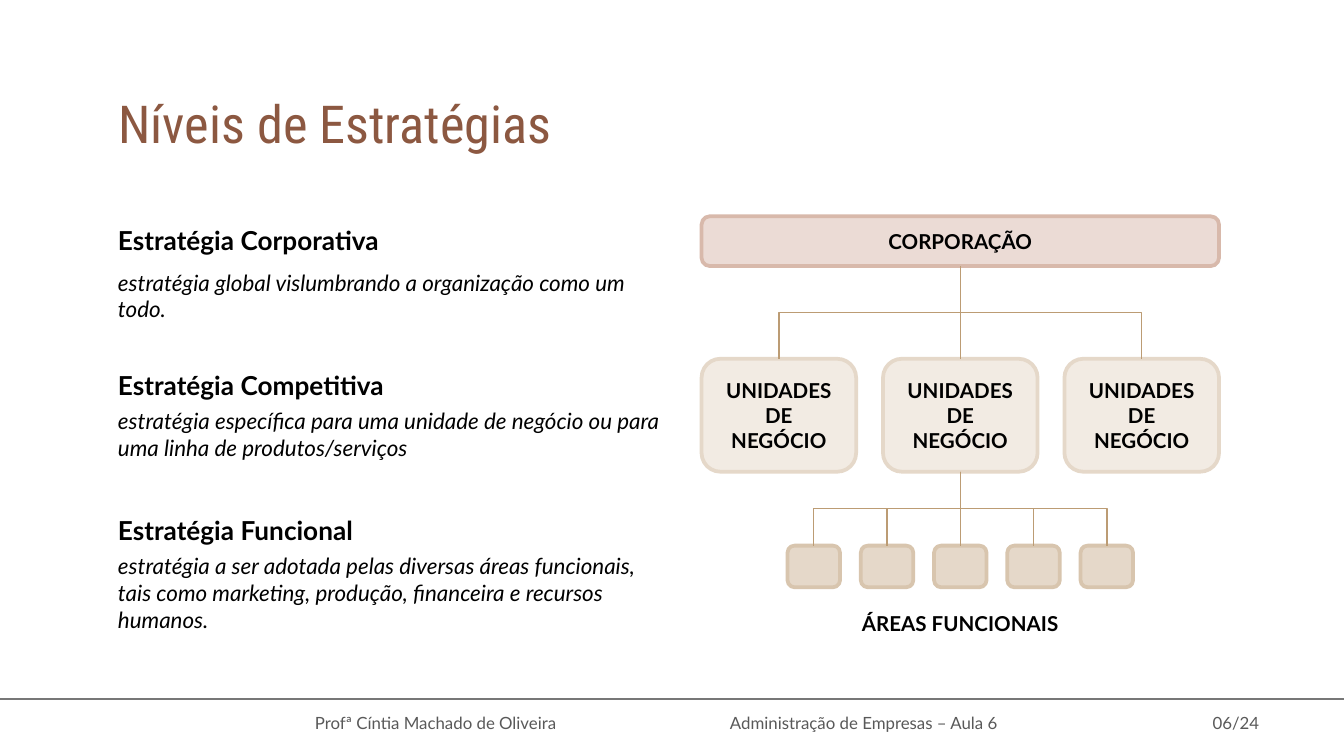
import pptx
import pptx.util
import pptx.dml.color
import pptx.enum.shapes
import pptx.enum.text
import pptx.oxml.ns

Inches, Pt = pptx.util.Inches, pptx.util.Pt
RGBColor = pptx.dml.color.RGBColor
SHAPE = pptx.enum.shapes.MSO_SHAPE
CONN = pptx.enum.shapes.MSO_CONNECTOR
ANCHOR = pptx.enum.text.MSO_ANCHOR
ALIGN = pptx.enum.text.PP_ALIGN
qn = pptx.oxml.ns.qn

W = 10
H = W * 9 / 16
BLACK = RGBColor(0x00, 0x00, 0x00)
GREY = RGBColor(0x59, 0x59, 0x59)
RULE = RGBColor(0x77, 0x77, 0x77)
BROWN = RGBColor(0x8C, 0x58, 0x41)
BRANCH = RGBColor(0xBC, 0x9C, 0x74)
ROSE, ROSE_EDGE = RGBColor(0xEB, 0xDB, 0xD5), RGBColor(0xD8, 0xB9, 0xAB)
CREAM, SAND = RGBColor(0xF2, 0xEB, 0xE3), RGBColor(0xE5, 0xD8, 0xC9)
SAND_EDGE = RGBColor(0xD8, 0xC5, 0xAE)

TITLE = dict(name="Roboto Condensed", size=Pt(28), bold=False)
HEADING = dict(name="Lato", size=Pt(14), bold=True)
DETAIL = dict(name="Lato", size=Pt(12), italic=True)
LABEL = dict(name="Lato", size=Pt(11), bold=True)
FOOTER = dict(name="Lato", size=Pt(9))

# Left column: heading, detail, then top and height of the detail
LEFT, ROW_TOP, ROW_STEP = 0.78, 1.62, 1.08
LEVELS = [
    ("Estratégia Corporativa",
     "estratégia global vislumbrando a organização como um todo.", 1.95, 0.5),
    ("Estratégia Competitiva",
     "estratégia específica para uma unidade de negócio ou para uma linha "
     "de produtos/serviços", 2.98, 0.5),
    ("Estratégia Funcional",
     "estratégia a ser adotada pelas diversas áreas funcionais, tais como "
     "marketing, produção, financeira e recursos humanos.", 4.06, 0.71),
]
FOOTERS = [
    ("Profª Cíntia Machado de Oliveira", 2.07, 2.34),
    ("Administração de Empresas – Aula 6", 5.22, 2.41),
    ("06/24", 8.7, 0.99),
]

# Chart rows; columns are spread evenly around AXIS
CORP_LEFT, CORP_TOP, CORP_W, CORP_H = 5.22, 1.61, 3.85, 0.37
UNIT_TOP, UNIT_W, UNIT_H = 2.67, 1.15, 0.84
AREA_TOP, AREA_W, AREA_H = 4.06, 0.39, 0.31
AXIS = CORP_LEFT + CORP_W / 2
UNIT_SPAN, AREA_SPAN = CORP_W - UNIT_W, 2.18


def box(left, top, width, height):
    return [Inches(v) for v in (left, top, width, height)]


def write(sp, text, font, color=BLACK, align=ALIGN.LEFT, anchor=ANCHOR.TOP):
    tf = sp.text_frame
    frame = dict(word_wrap=True, vertical_anchor=anchor,
                 margin_left=Inches(0.1), margin_right=Inches(0.1),
                 margin_top=Inches(0.05), margin_bottom=Inches(0.05))
    for key, value in frame.items():
        setattr(tf, key, value)
    p = tf.paragraphs[0]
    p.alignment = align
    r = p.add_run()
    r.text = text
    for key, value in font.items():
        setattr(r.font, key, value)
    r.font.color.rgb = color


def add_text(s, place, text, font, **options):
    write(s.shapes.add_textbox(*box(*place)), text, font, **options)


def add_node(s, center, top, width, height, fill, edge, text=""):
    place = box(center - width / 2, top, width, height)
    sp = s.shapes.add_shape(SHAPE.ROUNDED_RECTANGLE, *place)
    sp.shadow.inherit = False
    sp.fill.solid()
    sp.fill.fore_color.rgb = fill
    sp.line.color.rgb = edge
    sp.line.width = Pt(2)
    if text:
        write(sp, text, LABEL, align=ALIGN.CENTER, anchor=ANCHOR.MIDDLE)


def add_line(s, kind, x1, y1, x2, y2, color, width):
    c = s.shapes.add_connector(kind, *box(x1, y1, x2, y2))
    c.line.color.rgb = color
    c.line.width = Pt(width)
    spPr = c._element.spPr
    spPr.append(spPr.makeelement(qn("a:effectLst"), {}))
    return c


def add_branch(s, x, top, bottom):
    """Join the axis to a node at x, leaving and arriving vertically."""
    if x == AXIS:
        add_line(s, CONN.STRAIGHT, x, top, x, bottom, BRANCH, 0.75)
        return
    # The elbow is laid on its side around its centre, then turned
    cx, cy = (AXIS + x) / 2, (top + bottom) / 2
    half_w, half_h = (bottom - top) / 2, abs(x - AXIS) / 2
    turn, side = (90, -1) if x < AXIS else (270, 1)
    c = add_line(s, CONN.ELBOW, cx + side * half_w, cy - half_h,
                 cx - side * half_w, cy + half_h, BRANCH, 0.75)
    c._element.spPr.find(qn("a:xfrm")).set("rot", str(turn * 60000))


def columns(count, span):
    step = span / (count - 1)
    return [AXIS + (i - count // 2) * step for i in range(count)]


def add_levels(s):
    for i, (heading, detail, top, height) in enumerate(LEVELS):
        add_text(s, (LEFT, ROW_TOP + i * ROW_STEP, 2.3, 0.34), heading, HEADING)
        add_text(s, (LEFT, top, 4.24, height), detail, DETAIL)


def add_org_chart(s):
    units, areas = columns(3, UNIT_SPAN), columns(5, AREA_SPAN)
    # Nodes
    add_node(s, AXIS, CORP_TOP, CORP_W, CORP_H, ROSE, ROSE_EDGE, "CORPORAÇÃO")
    for x in units:
        add_node(s, x, UNIT_TOP, UNIT_W, UNIT_H, CREAM, SAND,
                 "UNIDADES DE NEGÓCIO")
    for x in areas:
        add_node(s, x, AREA_TOP, AREA_W, AREA_H, SAND, SAND_EDGE)
    add_text(s, (AXIS - 1.12, 4.5, 2.24, 0.29), "ÁREAS FUNCIONAIS", LABEL,
             align=ALIGN.CENTER)
    # Branches
    for x in units:
        add_branch(s, x, CORP_TOP + CORP_H, UNIT_TOP)
    for x in areas:
        add_branch(s, x, UNIT_TOP + UNIT_H, AREA_TOP)


def add_footer(s):
    add_line(s, CONN.STRAIGHT, 0, 5.2, W + 0.02, 5.2, RULE, 1)
    for text, left, width in FOOTERS:
        add_text(s, (left, 5.21, width, 0.33), text, FOOTER, color=GREY,
                 align=ALIGN.CENTER, anchor=ANCHOR.MIDDLE)


def main():
    prs = pptx.Presentation()
    prs.slide_width, prs.slide_height = Inches(W), Inches(H)
    s = prs.slides.add_slide(prs.slide_layouts[5])

    # Title
    title = s.shapes.title
    title.left, title.top, title.width, title.height = box(LEFT, 0.63, 8.44, 0.57)
    write(title, "Níveis de Estratégias", TITLE, color=BROWN)

    add_levels(s)
    add_org_chart(s)
    add_footer(s)
    prs.save("out.pptx")


if __name__ == "__main__":
    main()
